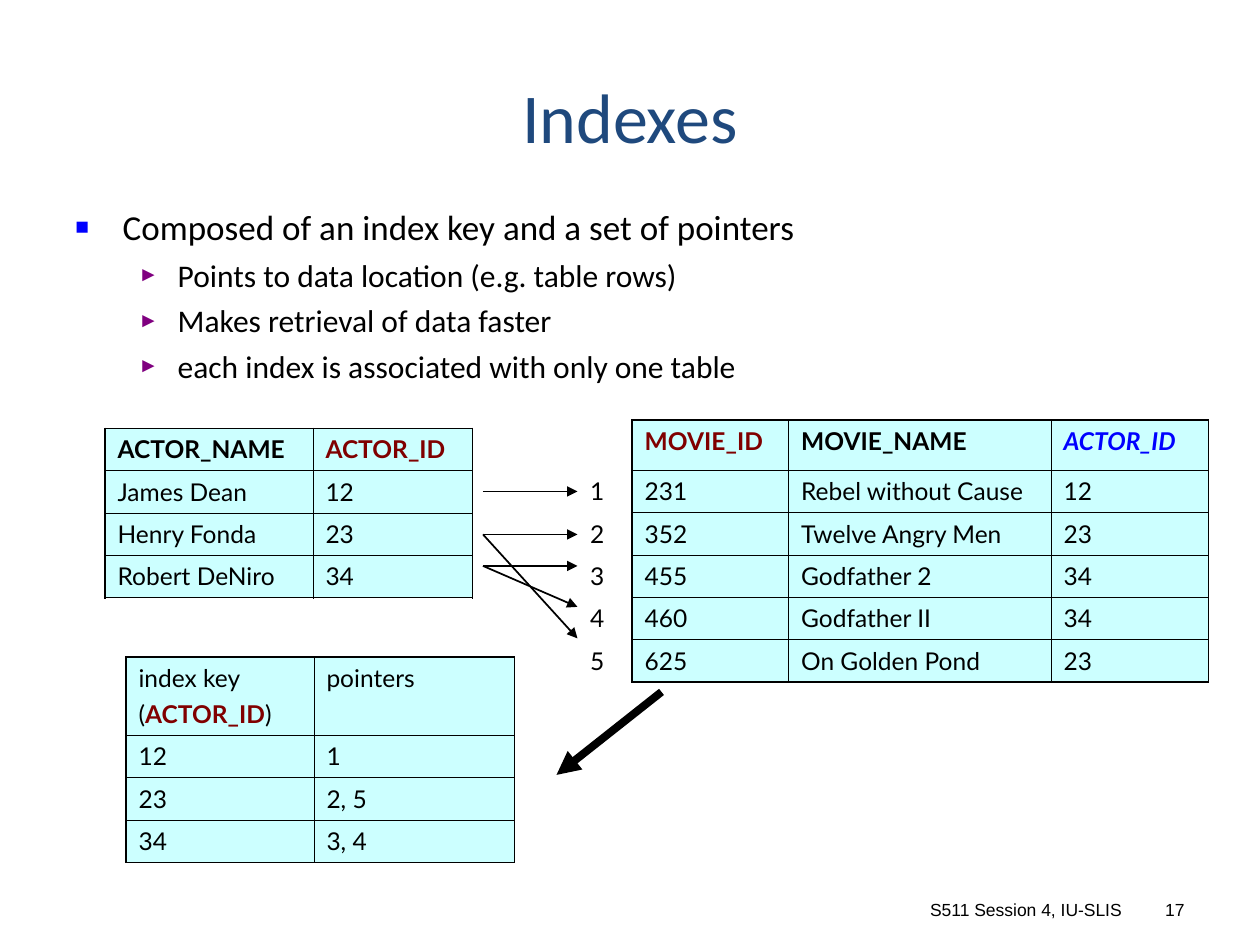
"""Build a slide that explains indexes with three linked tables."""
from lxml.etree import SubElement
from pptx import Presentation
from pptx.dml.color import RGBColor
from pptx.enum.shapes import MSO_CONNECTOR
from pptx.enum.text import MSO_ANCHOR as Anchor, PP_ALIGN as Align
from pptx.oxml.ns import qn
from pptx.util import Inches, Pt

COLOURS = {
    "black": "000000", "title": "1F497D", "cell": "CCFFFF",
    "key": "800000", "foreign": "0000FF", "sub_bullet": "800080",
}
STYLES = {
    "plain": ("black", False, False),
    "name": ("black", True, False),
    "key": ("key", True, False),
    "foreign": ("foreign", True, True),
}
NO_TABLE_STYLE = "{2D5ABB26-0587-4C30-8999-92F81FD0307C}"
ROW = 4.03

presentation = Presentation()
presentation.slide_width, presentation.slide_height = Inches(10), Inches(7.5)
slide = presentation.slides.add_slide(presentation.slide_layouts[6])
grid = presentation.slide_width / 120


def add_run(paragraph, text, size, font_name, style="plain", colour=None):
    style_colour, bold, italic = STYLES[style]
    run = paragraph.add_run()
    run.text = text
    font = run.font
    font.size, font.name, font.bold, font.italic = Pt(size), font_name, bold, italic
    font.color.rgb = RGBColor.from_string(COLOURS[colour or style_colour])


def add_frame(left, top, width, height, anchor):
    box = slide.shapes.add_textbox(*(int(n * grid) for n in (left, top, width, height)))
    box.text_frame.word_wrap = True
    box.text_frame.vertical_anchor = anchor
    return box.text_frame


labels = [
    ("S511 Session 4, IU-SLIS", (82, 85, 26, 3.2), Anchor.BOTTOM, Align.RIGHT, 10, "Arial", "black"),
    ("17", (109, 85, 5, 3.2), Anchor.BOTTOM, Align.RIGHT, 10, "Arial", "black"),
    ("Indexes", (6, 5, 108, 12), Anchor.MIDDLE, Align.CENTER, 40, "Calibri", "title"),
]
for text, place, anchor, alignment, size, font_name, colour in labels:
    paragraph = add_frame(*place, anchor).paragraphs[0]
    paragraph.alignment = alignment
    add_run(paragraph, text, size, font_name, colour=colour)

bullet_levels = [
    (20, "■", "foreign", 4.5, 4.5),
    (18, "►", "sub_bullet", 9.75, 3.75),
]
bullets = [
    (0, "Composed of an index key and a set of pointers"),
    (1, "Points to data location (e.g. table rows)"),
    (1, "Makes retrieval of data faster"),
    (1, "each index is associated with only one table"),
]
body = add_frame(6, 19, 108, 65, Anchor.TOP)
for number, (level, text) in enumerate(bullets):
    size, mark, colour, margin, hanging = bullet_levels[level]
    paragraph = body.add_paragraph() if number else body.paragraphs[0]
    paragraph.level = level
    if number:
        paragraph.space_before = Pt(4.5)
    properties = paragraph._p.get_or_add_pPr()
    properties.set("marL", str(int(margin * grid)))
    properties.set("indent", str(int(-hanging * grid)))
    SubElement(SubElement(properties, qn("a:buClr")), qn("a:srgbClr"), val=COLOURS[colour])
    SubElement(properties, qn("a:buSzPct"), val="65000")
    SubElement(properties, qn("a:buFont"), typeface="Arial")
    SubElement(properties, qn("a:buChar"), char=mark)
    add_run(paragraph, text, size, "Calibri")

actors = [
    [[[("ACTOR_NAME", "name")]], [[("ACTOR_ID", "key")]]],
    ["James Dean", "12"],
    ["Henry Fonda", "23"],
    ["Robert DeNiro", "34"],
]
movies = [
    ["", [[("MOVIE_ID", "key")]], [[("MOVIE_NAME", "name")]], [[("ACTOR_ID", "foreign")]]],
    ["1", "231", "Rebel without Cause", "12"],
    ["2", "352", "Twelve Angry Men", "23"],
    ["3", "455", "Godfather 2", "34"],
    ["4", "460", "Godfather II", "34"],
    ["5", "625", "On Golden Pond", "23"],
]
index_key = [[("index key", "plain")], [("(", "plain"), ("ACTOR_ID", "key"), (")", "plain")]]
index = [[index_key, "pointers"], ["12", "1"], ["23", "2, 5"], ["34", "3, 4"]]
tables = [
    (actors, 10, 40.8, (19.8, 15.2), ROW, 0),
    (movies, 55, 40, (5.2, 14.9, 25, 15), ROW, 1),
    (index, 12, 62.6, (17.9, 19.1), 7.45, 0),
]
for rows, left, top, widths, header_height, first_column in tables:
    heights = [header_height] + [ROW] * (len(rows) - 1)
    place = (int(n * grid) for n in (left, top, sum(widths), sum(heights)))
    table = slide.shapes.add_table(len(rows), len(widths), *place).table
    table.first_row = table.horz_banding = False
    table._tbl.tblPr.find(qn("a:tableStyleId")).text = NO_TABLE_STYLE
    for column, width in zip(table.columns, widths):
        column.width = int(width * grid)
    for row, height in zip(table.rows, heights):
        row.height = int(height * grid)
    for r, values in enumerate(rows):
        for c, value in enumerate(values):
            cell = table.cell(r, c)
            content = [[(value, "plain")]] if isinstance(value, str) else value
            for number, runs in enumerate(content if value else []):
                frame = cell.text_frame
                paragraph = frame.add_paragraph() if number else frame.paragraphs[0]
                if number:
                    paragraph.space_before = Pt(3.5)
                for text, style in runs:
                    add_run(paragraph, text, 14, "Lato", style)
            if c < first_column:
                cell.fill.background()
                continue
            outer_sides = {
                "a:lnL": c == first_column, "a:lnR": c == len(widths) - 1,
                "a:lnT": r == 0, "a:lnB": r == len(rows) - 1,
            }
            for side, outer in outer_sides.items():
                border = SubElement(cell._tc.get_or_add_tcPr(), qn(side), w=str(Pt(1.08 if outer else 0.45)))
                SubElement(SubElement(border, qn("a:solidFill")), qn("a:srgbClr"), val=COLOURS["black"])
            cell.fill.solid()
            cell.fill.fore_color.rgb = RGBColor.from_string(COLOURS["cell"])

arrows = [
    (46, 46.8, 55, 46.8, 1),
    (46, 50.9, 55, 50.9, 1),
    (46, 50.9, 55, 60.8, 1),
    (46, 53.9, 55, 53.9, 1),
    (46, 53.9, 55, 57.8, 1),
    (63, 65.9, 53, 73.8, 4.5),
]
for *ends, width in arrows:
    arrow = slide.shapes.add_connector(MSO_CONNECTOR.STRAIGHT, *(int(n * grid) for n in ends))
    arrow.line.width = Pt(width)
    arrow.line.color.rgb = RGBColor.from_string(COLOURS["black"])
    SubElement(arrow.line._get_or_add_ln(), qn("a:tailEnd"), type="triangle")
    SubElement(arrow._element.spPr, qn("a:effectLst"))

presentation.save("out.pptx")
